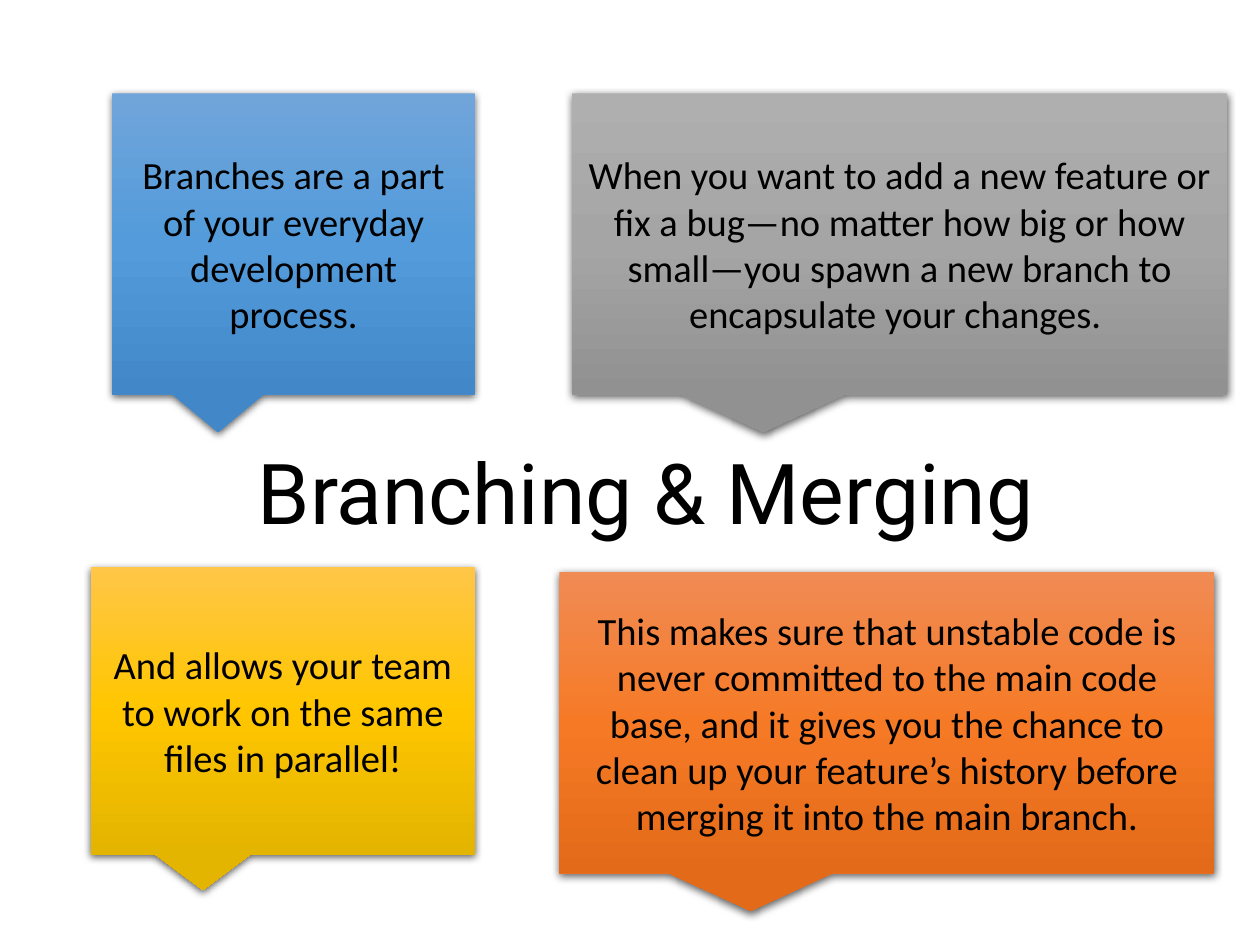
from copy import deepcopy
from dataclasses import dataclass

from lxml.etree import SubElement
from pptx import Presentation
from pptx.dml.color import RGBColor
from pptx.enum.shapes import MSO_SHAPE
from pptx.enum.text import MSO_ANCHOR, MSO_AUTO_SIZE, PP_ALIGN
from pptx.oxml.ns import qn
from pptx.slide import Slide
from pptx.text.text import TextFrame
from pptx.util import Emu, Pt

EMU_PER_PX = 9144  # 100 px to the inch

BLACK = RGBColor(0x00, 0x00, 0x00)
BLUES = (RGBColor(0x70, 0xA5, 0xDA), RGBColor(0x53, 0x9B, 0xDB), RGBColor(0x42, 0x88, 0xC8))
GREYS = (RGBColor(0xAF, 0xAF, 0xAF), RGBColor(0xA5, 0xA5, 0xA5), RGBColor(0x91, 0x91, 0x91))
ORANGES = (RGBColor(0xF0, 0x8B, 0x54), RGBColor(0xF6, 0x7A, 0x26), RGBColor(0xE3, 0x6A, 0x18))
YELLOWS = (RGBColor(0xFF, 0xC6, 0x47), RGBColor(0xFF, 0xC6, 0x00), RGBColor(0xE3, 0xB4, 0x00))

POINTER = (-0.208, 0.625, 0)  # tip x, tip y, corner radius


@dataclass(frozen=True)
class Callout:
    left: int
    top: int
    width: int
    height: int
    gradient: tuple[RGBColor, RGBColor, RGBColor]
    text: str


CALLOUTS = (
    Callout(454, 74, 520, 239, GREYS,
            "When you want to add a new feature or fix a bug—no matter how big or how "
            "small—you spawn a new branch to encapsulate your changes. "),
    Callout(89, 74, 288, 239, BLUES,
            "Branches are a part of your everyday development process."),
    Callout(444, 454, 520, 239, ORANGES,
            "This makes sure that unstable code is never committed to the main code base, "
            "and it gives you the chance to clean up your feature’s history before "
            "merging it into the main branch."),
    Callout(72, 450, 305, 228, YELLOWS,
            "And allows your team to work on the same files in parallel!"),
)


def px(length: int) -> Emu:
    return Emu(length * EMU_PER_PX)


def write_text(frame: TextFrame, text: str, *, font: str, size: int,
               inset_x: int = 10, inset_y: int = 5) -> None:
    frame.word_wrap = True
    frame.auto_size = MSO_AUTO_SIZE.NONE
    frame.vertical_anchor = MSO_ANCHOR.MIDDLE
    frame.margin_left = frame.margin_right = px(inset_x)
    frame.margin_top = frame.margin_bottom = px(inset_y)
    paragraph = frame.paragraphs[0]
    paragraph.alignment = PP_ALIGN.CENTER
    run = paragraph.add_run()
    run.text = text
    run.font.name = font
    run.font.size = Pt(size)
    run.font.color.rgb = BLACK


def fill_downward(shape, colors: tuple[RGBColor, ...]) -> None:
    """Fill with evenly spaced gradient stops running from top to bottom."""
    shape.fill.gradient()
    shape.fill.gradient_angle = 270
    stop_list = shape._element.spPr.find(f".//{qn('a:gsLst')}")
    while len(stop_list) < len(colors):
        stop_list.append(deepcopy(stop_list[0]))
    for index, (stop, color) in enumerate(zip(shape.fill.gradient_stops, colors)):
        stop.position = index / (len(colors) - 1)
        stop.color.rgb = color


def add_soft_shadow(shape) -> None:
    shape.shadow.inherit = False
    effects = shape._element.spPr.find(qn("a:effectLst"))
    shadow = SubElement(effects, qn("a:outerShdw"), blurRad=str(Pt(4.5)),
                        dist=str(Pt(1.5)), dir="5400000", algn="ctr", rotWithShape="0")
    color = SubElement(shadow, qn("a:srgbClr"), val=str(BLACK))
    SubElement(color, qn("a:alpha"), val="62000")


def draw_callout(slide: Slide, callout: Callout) -> None:
    bubble = slide.shapes.add_shape(
        MSO_SHAPE.ROUNDED_RECTANGULAR_CALLOUT,
        px(callout.left), px(callout.top), px(callout.width), px(callout.height))
    for index, value in enumerate(POINTER):
        bubble.adjustments[index] = value
    fill_downward(bubble, callout.gradient)
    bubble.line.fill.background()
    add_soft_shadow(bubble)
    write_text(bubble.text_frame, callout.text, font="Calibri", size=22)


def draw_title(slide: Slide) -> None:
    title = slide.shapes.title
    title.left, title.top = px(175), px(211)
    title.width, title.height = px(675), px(358)
    write_text(title.text_frame, "Branching & Merging", font="Roboto", size=48, inset_y=10)


def main() -> None:
    deck = Presentation()
    deck.slide_width, deck.slide_height = px(1000), px(750)
    slide = deck.slides.add_slide(deck.slide_layouts.get_by_name("Title Only"))
    draw_title(slide)
    for callout in CALLOUTS:
        draw_callout(slide, callout)
    deck.save("out.pptx")


if __name__ == "__main__":
    main()
